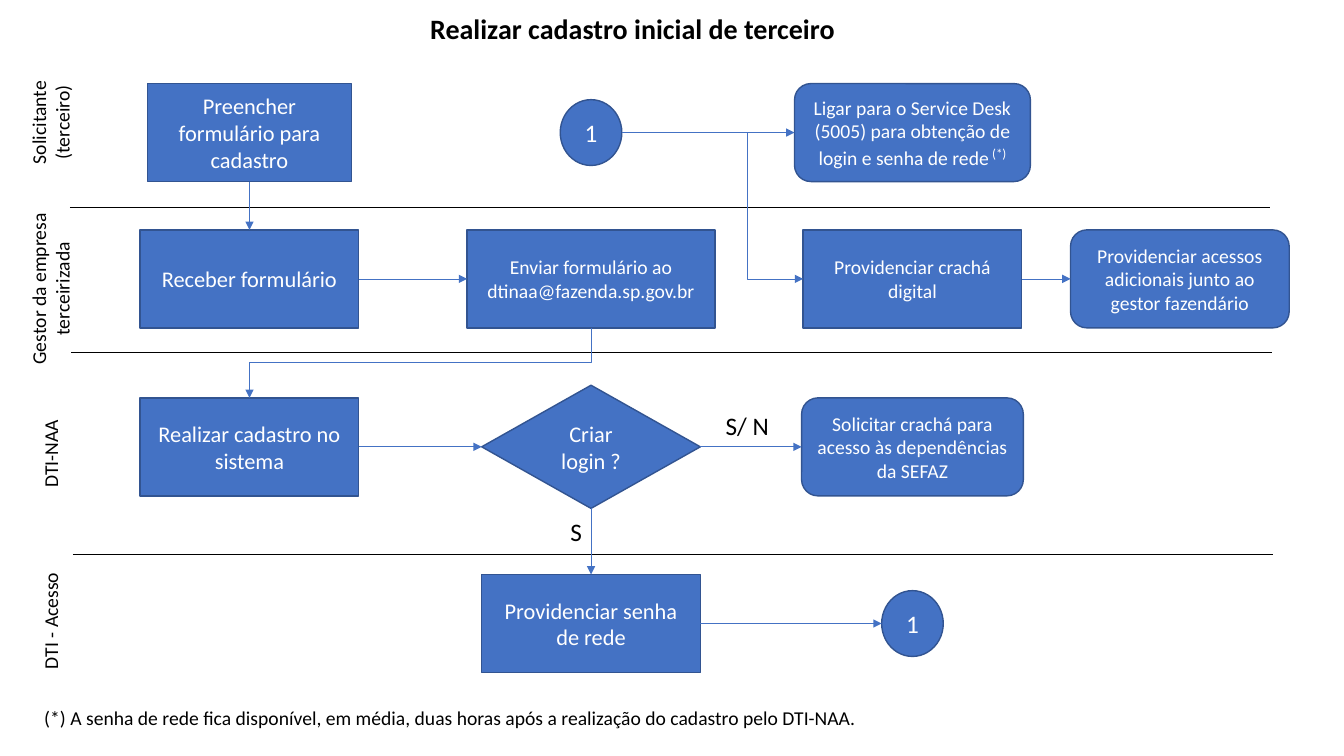
"""Swimlane flowchart for the initial registration of a third party."""
from lxml.etree import SubElement
from pptx import Presentation
from pptx.dml.color import RGBColor
from pptx.enum.shapes import MSO_CONNECTOR as LINK, MSO_SHAPE as SHAPE
from pptx.enum.text import MSO_ANCHOR as ANCHOR, PP_ALIGN as ALIGN
from pptx.oxml.ns import qn
from pptx.util import Pt

BLUE, EDGE, BLACK, WHITE = "4472C4", "325491", "000000", "FFFFFF"
COLUMNS = [178.2, 422.2, 651.8, 842.8]
ROWS = [94.7, 199.2, 319.2, 445.4]
RECT, ROUND, OVAL, DIAMOND = (SHAPE.RECTANGLE, SHAPE.ROUNDED_RECTANGLE,
                              SHAPE.OVAL, SHAPE.FLOWCHART_DECISION)

STEPS = {
    "preencher": (0, 0, RECT, 145.5, 70, 16, "Preencher formulário para\ncadastro"),
    "entrada": (1, 0, OVAL, 44, 47, 18, "1"),
    "ligar": (2, 0, ROUND, 168.5, 70, 14,
              "Ligar para o Service Desk (5005) para obtenção de login e senha de rede"),
    "receber": (0, 1, RECT, 156.2, 70, 16, "Receber formulário"),
    "enviar": (1, 1, RECT, 177, 70, 14, "Enviar formulário ao dtinaa@fazenda.sp.gov.br"),
    "digital": (2, 1, RECT, 156.2, 70, 14, "Providenciar crachá digital"),
    "acessos": (3, 1, ROUND, 156.2, 70, 14,
                "Providenciar acessos adicionais junto ao gestor fazendário"),
    "cadastrar": (0, 2, RECT, 156.2, 70, 16, "Realizar cadastro no sistema"),
    "login": (1, 2, DIAMOND, 156.2, 88, 16, "Criar login ?"),
    "solicitar": (2, 2, ROUND, 158.4, 70, 14,
                  "Solicitar crachá para acesso às dependências da SEFAZ"),
    "senha": (1, 3, RECT, 156.2, 70, 16, "Providenciar senha de rede"),
    "saida": (2, 3, OVAL, 44, 47, 18, "1"),
}
NOTE_MARKS = {"ligar": " (*)"}
ACROSS = [("entrada", "ligar"), ("receber", "enviar"), ("digital", "acessos"),
          ("cadastrar", "login"), ("login", "solicitar"), ("senha", "saida"),
          ("entrada", "digital")]
DOWN = [("preencher", "receber"), ("enviar", "cadastrar"), ("login", "senha")]
BENDS = {("entrada", "digital"): 0.69, ("enviar", "cadastrar"): 0.5}

LANES = [("Solicitante\n(terceiro)", 87.5), ("Gestor da empresa\nterceirizada", 206.3),
         ("DTI-NAA", 324), ("DTI - Acesso", 443.5)]
LANE_CENTRE, LANE_LENGTH, LINE_HEIGHT, LANE_PADDING = 36, 123, 17, 7.2
DIVIDERS = [(50, 148.3), (51, 252), (52, 396)]
DIVIDER_LENGTH = 857.5
LABELS = [
    ("Realizar cadastro inicial de terceiro", (300.2, 5, 305.3, 31.7), 20, True),
    ("S", (400.3, 365, 23, 29), 18, False),
    ("S/ N", (511.2, 289.5, 62, 29), 18, False),
    ("(*) A senha de rede fica disponível, em média, duas horas após a realização "
     "do cadastro pelo DTI-NAA.", (24.5, 501, 747.4, 24.5), 14, False),
]


def rgb(value):
    return RGBColor.from_string(value)


def write(frame, text, size=14, color=BLACK, bold=False, align=ALIGN.LEFT,
          anchor=ANCHOR.TOP, wrap=True, superscript=""):
    frame.word_wrap, frame.vertical_anchor = wrap, anchor
    frame.text = text
    if superscript:
        mark = frame.paragraphs[-1].add_run()
        mark.text, mark.font.size = superscript, Pt(16)
        mark._r.get_or_add_rPr().set("baseline", "30000")
    for paragraph in frame.paragraphs:
        paragraph.alignment = align
        for run in paragraph.runs:
            run.font.name, run.font.bold = "Calibri", bold
            run.font.size = run.font.size or Pt(size)
            run.font.color.rgb = rgb(color)


def draw_line(shapes, kind, start, end, color, arrow=False):
    line = shapes.add_connector(kind, *map(Pt, start + end))
    line.line.color.rgb, line.line.width = rgb(color), Pt(0.5)
    properties = line._element.spPr
    if arrow:
        SubElement(properties.find(qn("a:ln")), qn("a:tailEnd"), type="triangle")
    SubElement(properties, qn("a:effectLst"))
    return line


def draw_step(shapes, key):
    column, row, outline, width, height, size, text = STEPS[key]
    step = shapes.add_shape(outline, Pt(COLUMNS[column] - width / 2),
                            Pt(ROWS[row] - height / 2), Pt(width), Pt(height))
    step.shadow.inherit = False
    step.fill.solid()
    step.fill.fore_color.rgb = rgb(BLUE)
    step.line.color.rgb, step.line.width = rgb(EDGE), Pt(1)
    write(step.text_frame, text, size=size, color=WHITE, align=ALIGN.CENTER,
          anchor=ANCHOR.MIDDLE, superscript=NOTE_MARKS.get(key, ""))
    return step


def edge_point(key, down, side):
    column, row, _, width, height = STEPS[key][:5]
    x, y = COLUMNS[column], ROWS[row]
    return (x, y + side * height / 2) if down else (x + side * width / 2, y)


def draw_flow(shapes, steps, source, target, down):
    start, end = edge_point(source, down, 1), edge_point(target, down, -1)
    bend = BENDS.get((source, target))
    flow = draw_line(shapes, LINK.ELBOW if bend else LINK.STRAIGHT, start, end, BLUE, True)
    if STEPS[source][2] != OVAL:
        flow.begin_connect(steps[source], 2 if down else 3)
    if STEPS[target][2] != OVAL:
        flow.end_connect(steps[target], 0 if down else 1)
    if bend:
        guides = flow._element.spPr.find(qn("a:prstGeom")).get_or_add_avLst()
        SubElement(guides, qn("a:gd"), name="adj1", fmla=f"val {round(bend * 100000)}")
    if bend and down:
        across, drop = abs(end[0] - start[0]), abs(end[1] - start[1])
        turn = flow._element.spPr.find(qn("a:xfrm"))
        turn.attrib.pop("flipH", None)
        turn.set("rot", "5400000")
        flow.left = Pt((start[0] + end[0] - drop) / 2)
        flow.top = Pt((start[1] + end[1] - across) / 2)
        flow.width, flow.height = Pt(drop), Pt(across)


def main():
    deck = Presentation()
    deck.slide_width, deck.slide_height = Pt(960), Pt(540)
    shapes = deck.slides.add_slide(deck.slide_layouts[6]).shapes
    for left, y in DIVIDERS:
        draw_line(shapes, LINK.STRAIGHT, (left, y), (left + DIVIDER_LENGTH, y), BLACK)
    for name, centre in LANES:
        depth = LANE_PADDING + LINE_HEIGHT * len(name.splitlines())
        lane = shapes.add_textbox(Pt(LANE_CENTRE - LANE_LENGTH / 2), Pt(centre - depth / 2),
                                  Pt(LANE_LENGTH), Pt(depth))
        lane.rotation = 270
        write(lane.text_frame, name, align=ALIGN.CENTER, wrap=False)
    steps = {key: draw_step(shapes, key) for key in STEPS}
    for flows, down in ((ACROSS, False), (DOWN, True)):
        for source, target in flows:
            draw_flow(shapes, steps, source, target, down)
    for text, place, size, bold in LABELS:
        label = shapes.add_textbox(*map(Pt, place))
        write(label.text_frame, text, size=size, bold=bold)
    deck.save("out.pptx")


if __name__ == "__main__":
    main()
